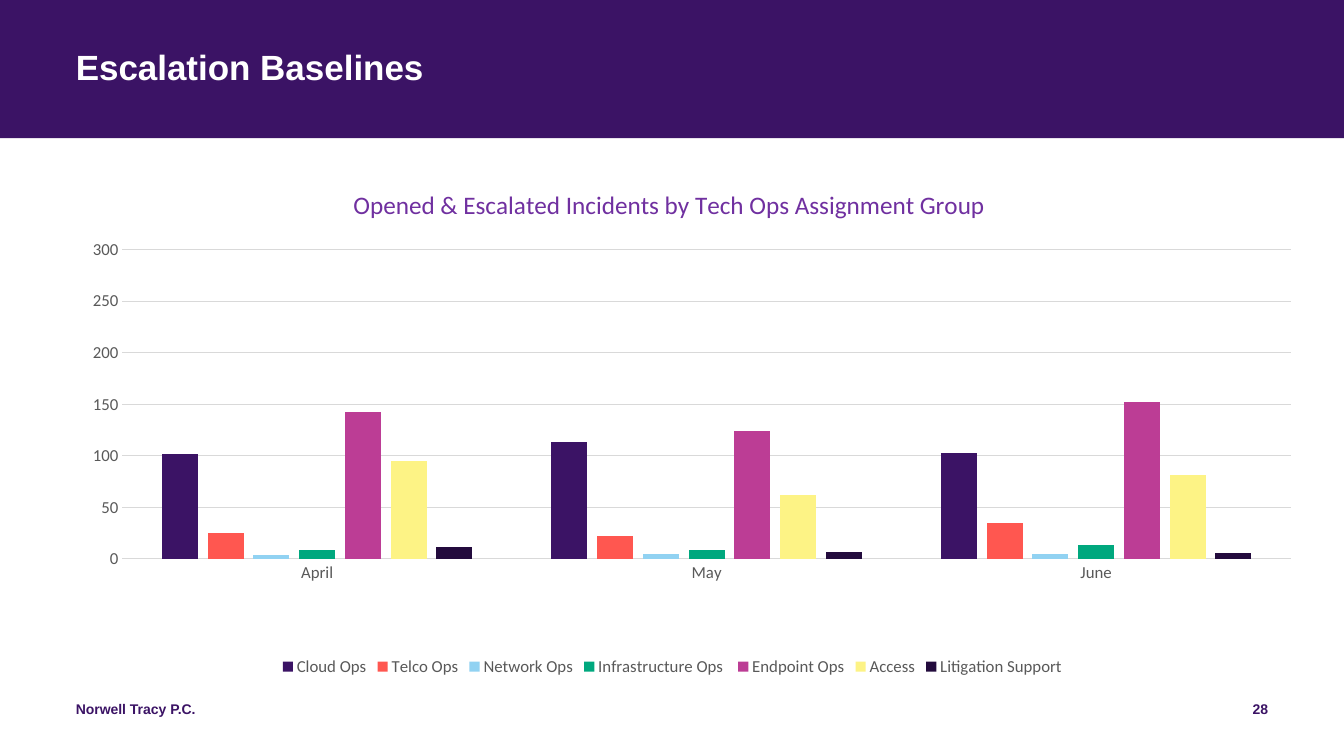
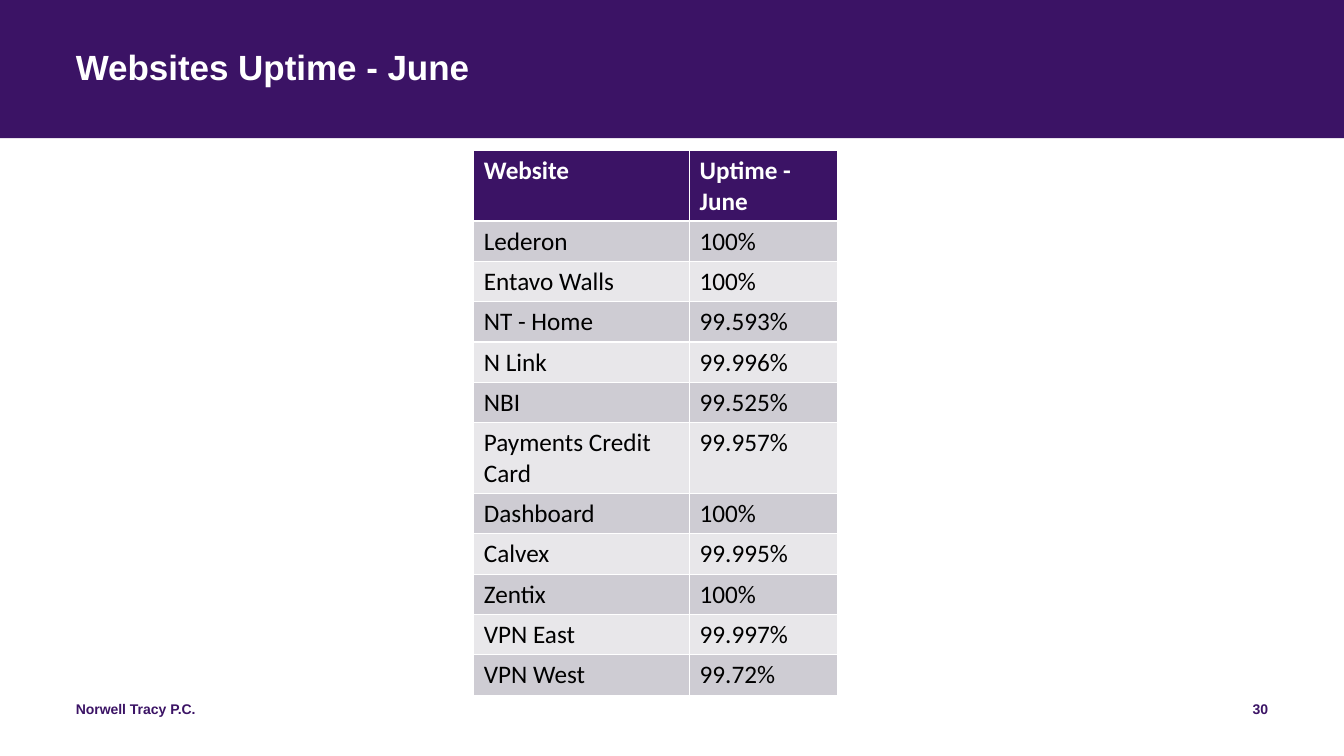
from lxml import etree
from pptx import Presentation
from pptx import util as u
from pptx.chart.data import CategoryChartData
from pptx.dml.color import RGBColor
from pptx.enum import chart as ch, shapes, text
from pptx.oxml.ns import qn

PURPLE = RGBColor(0x3B, 0x13, 0x65)
WHITE = RGBColor(0xFF, 0xFF, 0xFF)
BLACK = RGBColor(0x00, 0x00, 0x00)
HEADING = RGBColor(0x70, 0x30, 0xA0)
LABEL = RGBColor(0x59, 0x59, 0x59)
GRID = RGBColor(0xD9, 0xD9, 0xD9)
ROW_DARK = RGBColor(0xCE, 0xCC, 0xD3)
ROW_LIGHT = RGBColor(0xE8, 0xE7, 0xEA)


def add_footer(slide, left, width, words, align):
    box = slide.shapes.add_textbox(u.Cm(left), u.Cm(17.65), u.Cm(width), u.Cm(1.02))
    frame = box.text_frame
    frame.word_wrap = True
    frame.margin_left = frame.margin_right = frame.margin_top = frame.margin_bottom = 0
    line = frame.paragraphs[0]
    line.text, line.alignment = words, align
    line.font.name, line.font.size, line.font.bold = "Arial", u.Pt(10), True
    line.font.color.rgb = PURPLE
    return box


def set_layout(parent, index, **settings):
    for old in parent.findall(qn("c:layout")):
        parent.remove(old)
    layout = etree.Element(qn("c:layout"))
    manual = etree.SubElement(layout, qn("c:manualLayout"))
    for tag, value in settings.items():
        etree.SubElement(manual, qn("c:" + tag), val=str(value))
    parent.insert(index, layout)


deck = Presentation()
deck.slide_width, deck.slide_height = u.Cm(33.87), u.Cm(19.05)

# Shared title style
title_only = deck.slide_layouts[5]
heading = title_only.placeholders[0]
heading.left, heading.top = u.Cm(1.91), u.Cm(1.27)
heading.width, heading.height = u.Cm(30.05), u.Cm(2.06)
frame = heading.text_frame
frame.margin_left = frame.margin_right = frame.margin_top = frame.margin_bottom = 0
frame.vertical_anchor = text.MSO_ANCHOR.TOP

# Slides with title and page number
pages = []
for name, number in [("Escalation Baselines", "28"), ("Websites Uptime - June", "30")]:
    page = deck.slides.add_slide(title_only)
    page.shapes.title.text = name
    line = page.shapes.title.text_frame.paragraphs[0]
    line.alignment, line.line_spacing = text.PP_ALIGN.LEFT, 0.9
    line.font.name, line.font.size, line.font.bold = "Arial", u.Pt(25), True
    line.font.color.rgb = WHITE
    add_footer(page, 24.34, 7.62, number, text.PP_ALIGN.RIGHT)
    pages.append(page)
escalation, uptime = pages

# Band and firm name, moved to the layout so both slides share them
band = escalation.shapes.add_shape(
    shapes.MSO_SHAPE.RECTANGLE, 0, 0, deck.slide_width, u.Cm(3.48))
band.shadow.inherit = False
band.fill.solid()
band.fill.fore_color.rgb = PURPLE
band.line.fill.background()
firm = add_footer(escalation, 1.91, 11.43, "Norwell Tracy P.C.", text.PP_ALIGN.LEFT)
title_only.shapes.element.insert(2, band.element)
title_only.shapes.element.append(firm.element)

# Incident chart
groups = [
    ("Cloud Ops", (102, 113, 103), PURPLE),
    ("Telco Ops", (25, 22, 35), RGBColor(0xFF, 0x57, 0x50)),
    ("Network Ops", (4, 5, 5), RGBColor(0x91, 0xD2, 0xF2)),
    ("Infrastructure Ops ", (9, 9, 13), RGBColor(0x00, 0xA8, 0x7E)),
    ("Endpoint Ops", (142, 124, 152), RGBColor(0xBC, 0x3D, 0x95)),
    ("Access", (95, 62, 81), RGBColor(0xFD, 0xF3, 0x85)),
    ("Litigation Support", (11, 7, 6), RGBColor(0x23, 0x0B, 0x3D)),
]
data = CategoryChartData()
data.categories = ["April", "May", "June"]
for name, counts, _ in groups:
    data.add_series(name, counts)
incidents = escalation.shapes.add_chart(
    ch.XL_CHART_TYPE.COLUMN_CLUSTERED,
    u.Cm(0.64), u.Cm(3.94), u.Cm(32.61), u.Cm(13.21), data).chart
incidents.font.name, incidents.font.size = "Calibri", u.Pt(12)
incidents.font.color.rgb = LABEL

incidents.has_title = True
caption = incidents.chart_title.text_frame.paragraphs[0]
caption.text = "Opened & Escalated Incidents by Tech Ops Assignment Group"
caption.font.name, caption.font.size, caption.font.bold = "Calibri", u.Pt(18), False
caption.font.color.rgb = HEADING
set_layout(incidents.chart_title.element, 1, xMode="edge", yMode="edge", x=0.25, y=0.05)
set_layout(incidents.element.find(".//" + qn("c:plotArea")), 0,
           layoutTarget="inner", xMode="edge", yMode="edge",
           x=0.075, y=0.178, w=0.903, h=0.59)

incidents.has_legend = True
incidents.legend.position = ch.XL_LEGEND_POSITION.BOTTOM
incidents.legend.include_in_layout = False

months, counts = incidents.category_axis, incidents.value_axis
for axis in (months, counts):
    axis.major_tick_mark = axis.minor_tick_mark = ch.XL_TICK_MARK.NONE
counts.minimum_scale, counts.maximum_scale, counts.major_unit = 0, 300, 50
counts.format.line.fill.background()
for line in (months.format.line, counts.major_gridlines.format.line):
    line.color.rgb, line.width = GRID, u.Pt(0.75)

columns = incidents.plots[0]
columns.gap_width, columns.overlap = 219, -27
columns.vary_by_categories = False
for series, (_, _, color) in zip(columns.series, groups):
    series.format.fill.solid()
    series.format.fill.fore_color.rgb = color

# Uptime table
sites = [
    ("Website", "Uptime - June"),
    ("Lederon", "100%"),
    ("Entavo Walls", "100%"),
    ("NT - Home", "99.593%"),
    ("N Link", "99.996%"),
    ("NBI", "99.525%"),
    ("Payments Credit Card", "99.957%"),
    ("Dashboard", "100%"),
    ("Calvex", "99.995%"),
    ("Zentix", "100%"),
    ("VPN East", "99.997%"),
    ("VPN West", "99.72%"),
]
table = uptime.shapes.add_table(
    len(sites), 2, u.Cm(11.94), u.Cm(3.79), u.Cm(9.17), u.Cm(11.28)).table
table.columns[0].width, table.columns[1].width = u.Cm(5.44), u.Cm(3.73)
for r, site in enumerate(sites):
    table.rows[r].height = u.Cm(0.94)
    for c, words in enumerate(site):
        cell = table.cell(r, c)
        cell.text = words
        cell.fill.solid()
        cell.fill.fore_color.rgb = PURPLE if r == 0 else ROW_DARK if r % 2 else ROW_LIGHT
        font = cell.text_frame.paragraphs[0].font
        font.name, font.size, font.bold = "Calibri", u.Pt(18), r == 0
        font.color.rgb = WHITE if r == 0 else BLACK

deck.save("out.pptx")
